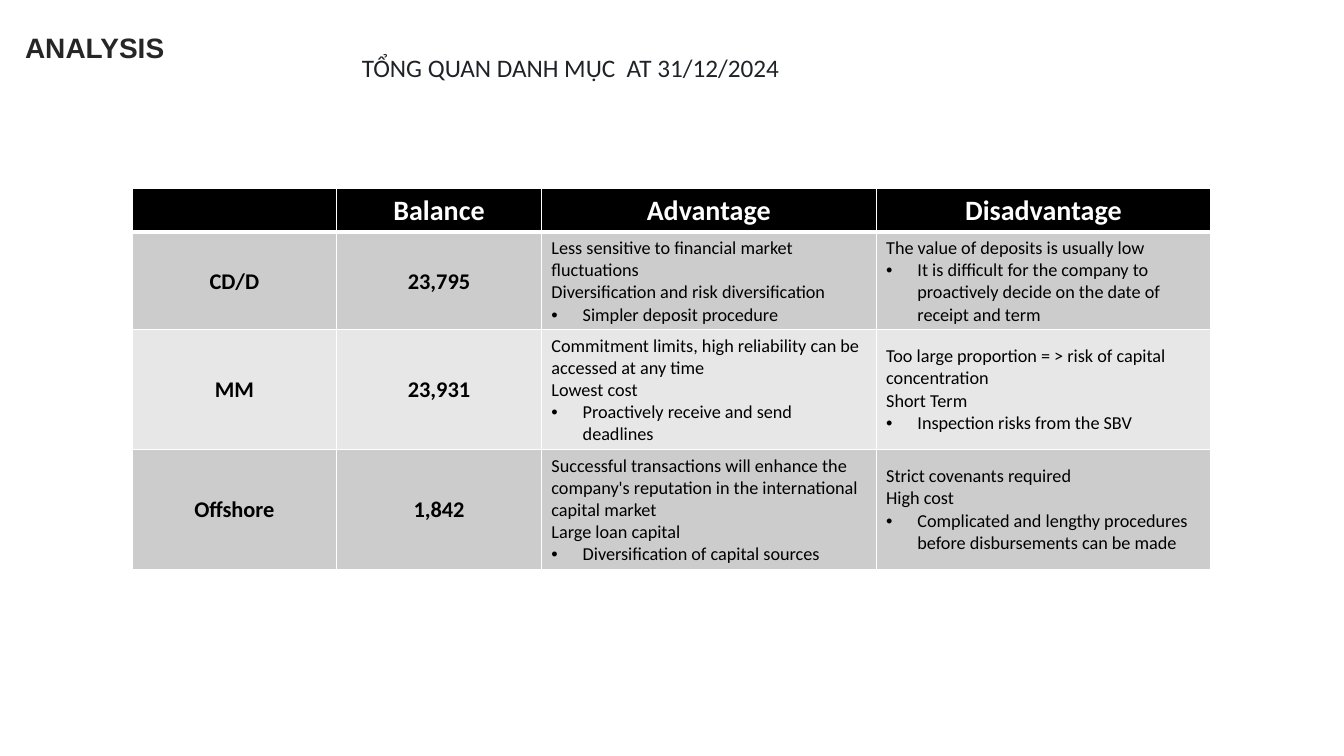
import pptx
import pptx.util
import pptx.dml.color
import pptx.enum.text
from dataclasses import dataclass
from lxml import etree
from pptx.oxml.ns import qn

Inches = pptx.util.Inches
Align = pptx.enum.text.PP_ALIGN
Anchor = pptx.enum.text.MSO_ANCHOR


@dataclass(frozen=True)
class Theme:
    head: str = "Arial"
    body: str = "Calibri"
    dark: str = "262626"
    ink: str = "1F2328"
    black: str = "000000"
    white: str = "FFFFFF"
    bands: tuple = ("CCCCCC", "E7E7E7")
    large: float = 20
    title: float = 18
    label: float = 16
    note: float = 13
    thin: float = 1
    thick: float = 3


THEME = Theme()
COLS = (2.03, 2.03, 3.32, 3.32)
ROWS = (0.43, 0.96, 1.19, 1.19)
HEADS = ("", "Balance", "Advantage", "Disadvantage")
FUNDS = (
    ("CD/D", "23,795",
     ("Less sensitive to financial market fluctuations",
      "Diversification and risk diversification",
      "Simpler deposit procedure"),
     ("The value of deposits is usually low",
      "It is difficult for the company to proactively decide on the date of receipt and term")),
    ("MM", "23,931",
     ("Commitment limits, high reliability can be accessed at any time",
      "Lowest cost",
      "Proactively receive and send deadlines"),
     ("Too large proportion = > risk of capital concentration",
      "Short Term",
      "Inspection risks from the SBV")),
    ("Offshore", "1,842",
     ("Successful transactions will enhance the company's reputation in the international capital market",
      "Large loan capital",
      "Diversification of capital sources"),
     ("Strict covenants required",
      "High cost",
      "Complicated and lengthy procedures before disbursements can be made")),
)


def add_run(para, text, size, color, font=THEME.body, bold=False):
    run = para.add_run()
    run.text = text
    run.font.size = pptx.util.Pt(size)
    run.font.name = font
    run.font.bold = bold
    run.font.color.rgb = pptx.dml.color.RGBColor.from_string(color)


def add_label(slide, box, text, size, color, font, bold=False):
    frame = slide.shapes.add_textbox(*map(Inches, box)).text_frame
    frame.word_wrap = True
    frame.auto_size = pptx.enum.text.MSO_AUTO_SIZE.SHAPE_TO_FIT_TEXT
    add_run(frame.paragraphs[0], text, size, color, font, bold)


def style_cell(cell, fill, top, base):
    props = cell._tc.get_or_add_tcPr()
    widths = {"L": THEME.thin, "R": THEME.thin, "T": top, "B": base}
    for side, width in widths.items():
        line = etree.SubElement(props, qn(f"a:ln{side}"), w=str(pptx.util.Pt(width)))
        solid = etree.SubElement(line, qn("a:solidFill"))
        etree.SubElement(solid, qn("a:srgbClr"), val=THEME.white)
    cell.fill.solid()
    cell.fill.fore_color.rgb = pptx.dml.color.RGBColor.from_string(fill)


def add_bullet(para):
    props = para._p.get_or_add_pPr()
    indent = Inches(0.31)
    props.set("marL", str(indent))
    props.set("indent", str(-indent))
    etree.SubElement(props, qn("a:buFont"), typeface=THEME.head)
    etree.SubElement(props, qn("a:buChar"), char="•")


def fill_label(cell, text, size, color):
    para = cell.text_frame.paragraphs[0]
    para.alignment = Align.CENTER
    if text:
        add_run(para, text, size, color, bold=True)


def fill_notes(cell, lines):
    frame = cell.text_frame
    for i, text in enumerate(lines):
        para = frame.add_paragraph() if i else frame.paragraphs[0]
        if i == len(lines) - 1:
            add_bullet(para)
        add_run(para, text, THEME.note, THEME.black)


def add_grid(slide, left, top):
    box = map(Inches, (left, top, sum(COLS), sum(ROWS)))
    table = slide.shapes.add_table(len(ROWS), len(COLS), *box).table
    for col, width in zip(table.columns, COLS):
        col.width = Inches(width)
    for row, height in zip(table.rows, ROWS):
        row.height = Inches(height)
    for c, text in enumerate(HEADS):
        cell = table.cell(0, c)
        style_cell(cell, THEME.black, THEME.thin, THEME.thick)
        fill_label(cell, text, THEME.large, THEME.white)
    for r, fund in enumerate(FUNDS, 1):
        edge = THEME.thick if r == 1 else THEME.thin
        for c, item in enumerate(fund):
            cell = table.cell(r, c)
            style_cell(cell, THEME.bands[(r - 1) % 2], edge, THEME.thin)
            cell.vertical_anchor = Anchor.MIDDLE
            if c < 2:
                cell.margin_left = cell.margin_right = cell.margin_top = Inches(0.01)
                cell.margin_bottom = 0
                fill_label(cell, item, THEME.label, THEME.black)
            else:
                fill_notes(cell, item)


def main():
    deck = pptx.Presentation()
    deck.slide_width = Inches(13.33)
    deck.slide_height = Inches(7.5)
    slide = deck.slides.add_slide(deck.slide_layouts[6])
    add_label(slide, (0.15, 0.25, 6.67, 0.44), "ANALYSIS",
              THEME.large, THEME.dark, THEME.head, True)
    add_label(slide, (3.49, 0.47, 9.5, 0.4), "TỔNG QUAN DANH MỤC  AT 31/12/2024",
              THEME.title, THEME.ink, THEME.body)
    add_grid(slide, 1.31, 1.87)
    deck.save("out.pptx")


if __name__ == "__main__":
    main()
